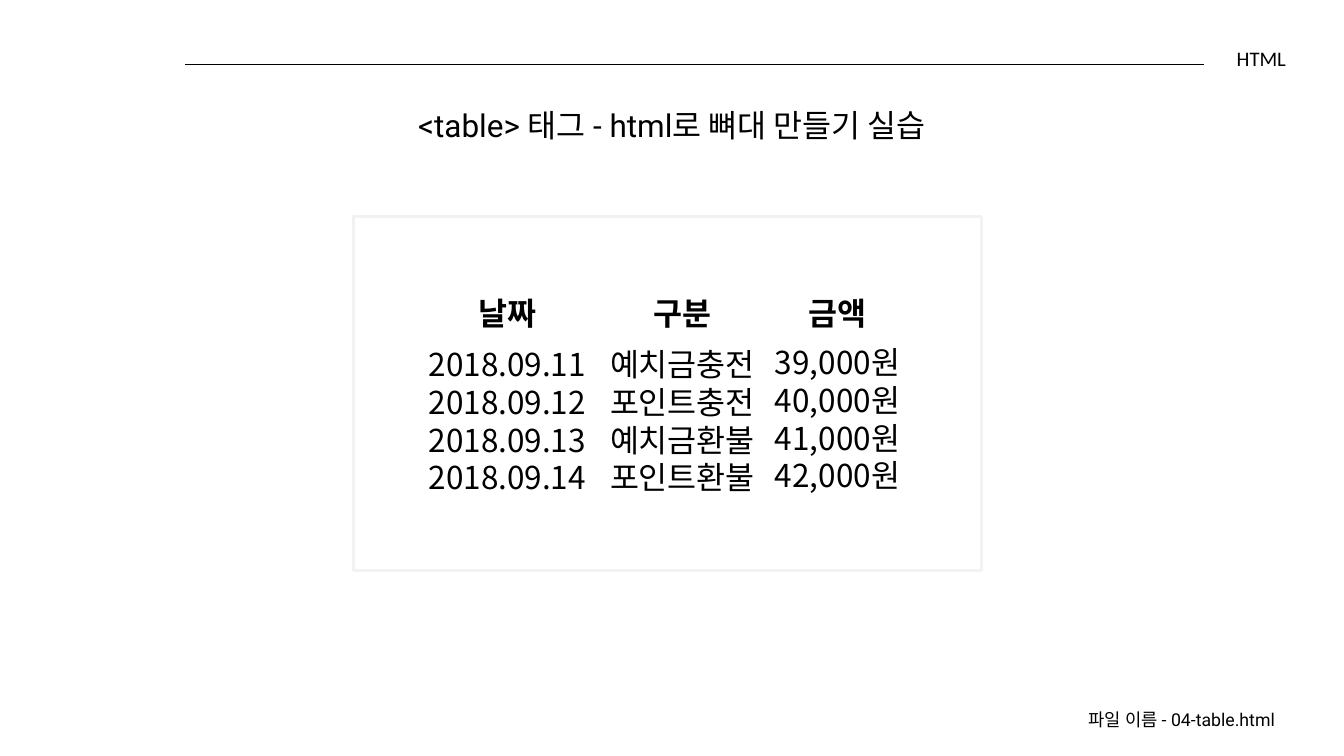
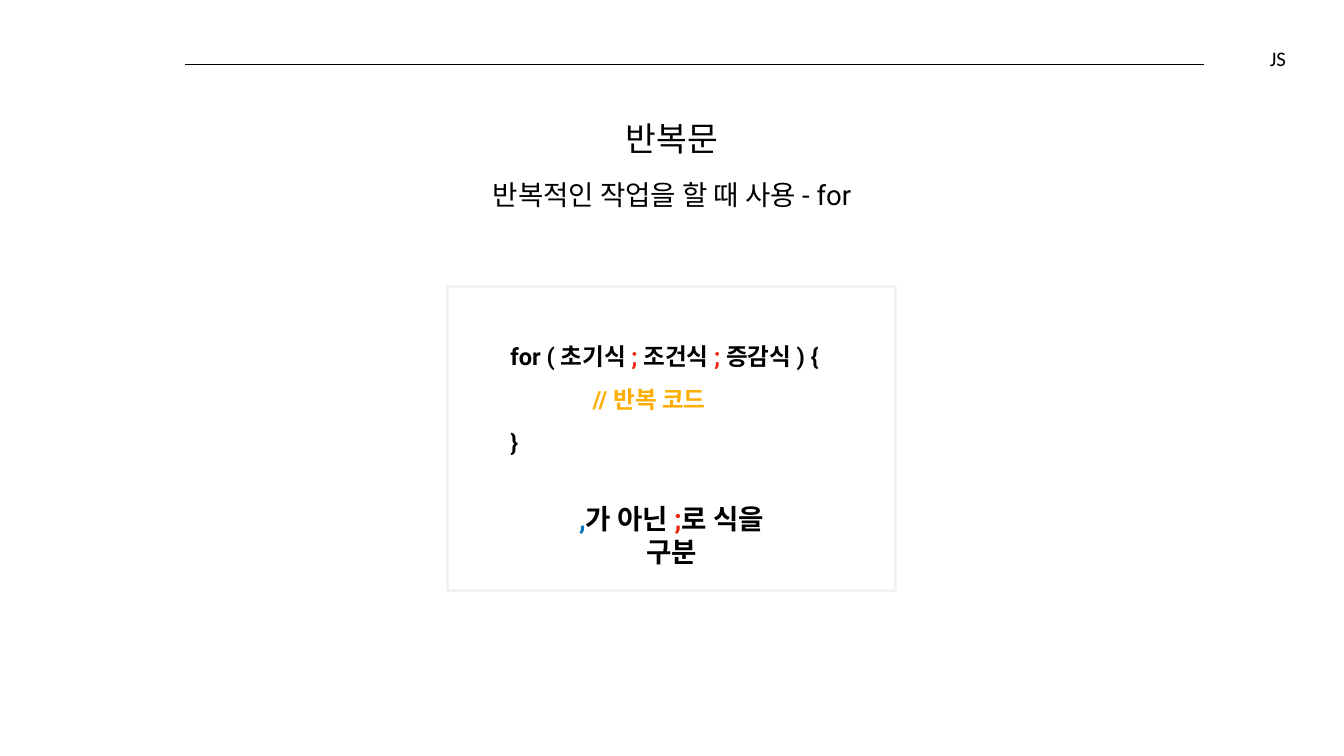
import pptx
import pptx.util
import pptx.dml.color
import pptx.enum.shapes
import pptx.enum.text
import pptx.oxml.ns
from lxml import etree

PX = 12915
COLORS = {
    "ink": "000000",
    "frame": "F2F2F2",
    "semicolon": "EE220C",
    "comment": "FEAE00",
    "comma": "0076BA",
}
HANGUL_FONT = "Noto Sans CJK KR"
ALIGN = pptx.enum.text.PP_ALIGN
ANCHOR = pptx.enum.text.MSO_ANCHOR
AUTO_SIZE = pptx.enum.text.MSO_AUTO_SIZE


def write(shape, paragraphs, size, font="Roboto", bold=False, align=ALIGN.CENTER,
          anchor=ANCHOR.TOP, inset=0, spacing=None, grow=True):
    frame = shape.text_frame
    frame.word_wrap = True
    frame.auto_size = AUTO_SIZE.SHAPE_TO_FIT_TEXT if grow else AUTO_SIZE.NONE
    frame.vertical_anchor = anchor
    frame.margin_left = frame.margin_right = inset * PX
    frame.margin_top = frame.margin_bottom = inset * PX
    for index, runs in enumerate(paragraphs):
        paragraph = frame.add_paragraph() if index else frame.paragraphs[0]
        paragraph.alignment = align
        paragraph.line_spacing = spacing
        for words, color in runs:
            run = paragraph.add_run()
            run.text = words
            run.font.size = pptx.util.Pt(size)
            run.font.name = font
            run.font.bold = bold
            run.font.color.rgb = pptx.dml.color.RGBColor.from_string(COLORS[color])
            hangul = etree.SubElement(run.font._element, pptx.oxml.ns.qn("a:ea"))
            hangul.set("typeface", HANGUL_FONT)
    return frame


deck = pptx.Presentation()
deck.slide_width = 1343 * PX
deck.slide_height = 755 * PX

slides = []
for subject, frame_box in [("HTML", (353, 216, 628, 354)), ("JS", (447, 286, 448, 304))]:
    slide = deck.slides.add_slide(deck.slide_layouts[5])
    slides.append(slide)

    rule = slide.shapes.add_connector(
        pptx.enum.shapes.MSO_CONNECTOR.STRAIGHT, 1203 * PX, 64 * PX, 185 * PX, 64 * PX)
    rule.line.color.rgb = pptx.dml.color.RGBColor.from_string(COLORS["ink"])
    rule.line.width = pptx.util.Pt(0.75)
    etree.SubElement(rule._element.spPr, pptx.oxml.ns.qn("a:effectLst"))

    title = slide.shapes.title
    title.left, title.top, title.width, title.height = 896 * PX, 45 * PX, 389 * PX, 27 * PX
    write(title, [[(subject, "ink")]], size=21, font="Calibri", align=ALIGN.RIGHT,
          anchor=ANCHOR.MIDDLE, grow=False)

    example_frame = slide.shapes.add_shape(
        pptx.enum.shapes.MSO_SHAPE.RECTANGLE, *[edge * PX for edge in frame_box])
    example_frame.shadow.inherit = False
    example_frame.fill.background()
    example_frame.line.color.rgb = pptx.dml.color.RGBColor.from_string(COLORS["frame"])
    example_frame.line.width = pptx.util.Pt(3)

table_slide, loop_slide = slides

captions = [
    (table_slide, (376, 99, 591, 54), "<table> 태그 - html로 뼈대 만들기 실습", 32, 7, ALIGN.CENTER),
    (table_slide, (981, 697, 306, 50), "파일 이름 - 04-table.html", 18, 13, ALIGN.RIGHT),
    (loop_slide, (267, 105, 809, 67), "반복문", 34, 13, ALIGN.CENTER),
    (loop_slide, (267, 165, 809, 62), "반복적인 작업을 할 때 사용 - for", 28, 13, ALIGN.CENTER),
]
for slide, box, words, size, inset, align in captions:
    caption = slide.shapes.add_textbox(*[edge * PX for edge in box])
    write(caption, [[(words, "ink")]], size=size, inset=inset, align=align)

columns = [
    (389, 13, "날짜", ["2018.09.11", "2018.09.12", "2018.09.13", "2018.09.14"]),
    (564, 13, "구분", ["예치금충전", "포인트충전", "예치금환불", "포인트환불"]),
    (719, 11, "금액", ["39,000원", "40,000원", "41,000원", "42,000원"]),
]
for left, heading_gap, heading, values in columns:
    column = table_slide.shapes.add_textbox(left * PX, 290 * PX, 236 * PX, 210 * PX)
    lines = write(column, [[(words, "ink")] for words in [heading] + values], size=32,
                  font=HANGUL_FONT, inset=4, spacing=pptx.util.Pt(38.4))
    lines.paragraphs[0].space_after = pptx.util.Pt(heading_gap)
    lines.paragraphs[0].runs[0].font.bold = True

syntax = loop_slide.shapes.add_textbox(507 * PX, 329 * PX, 315 * PX, 125 * PX)
write(syntax, [
    [("for ( 초기식 ", "ink"), (";", "semicolon"), (" 조건식 ", "ink"),
     (";", "semicolon"), (" 증감식 ) {", "ink")],
    [("              ", "ink"), ("// 반복 코드", "comment")],
    [("}", "ink")],
], size=24, bold=True, align=ALIGN.LEFT, anchor=ANCHOR.MIDDLE, inset=3, spacing=1.5)

separator_note = loop_slide.shapes.add_textbox(549 * PX, 514 * PX, 244 * PX, 41 * PX)
write(separator_note, [
    [(",", "comma"), ("가 아닌 ", "ink"), (";", "semicolon"), ("로 식을 구분", "ink")],
], size=28, bold=True, anchor=ANCHOR.MIDDLE, inset=3)

deck.save("out.pptx")
